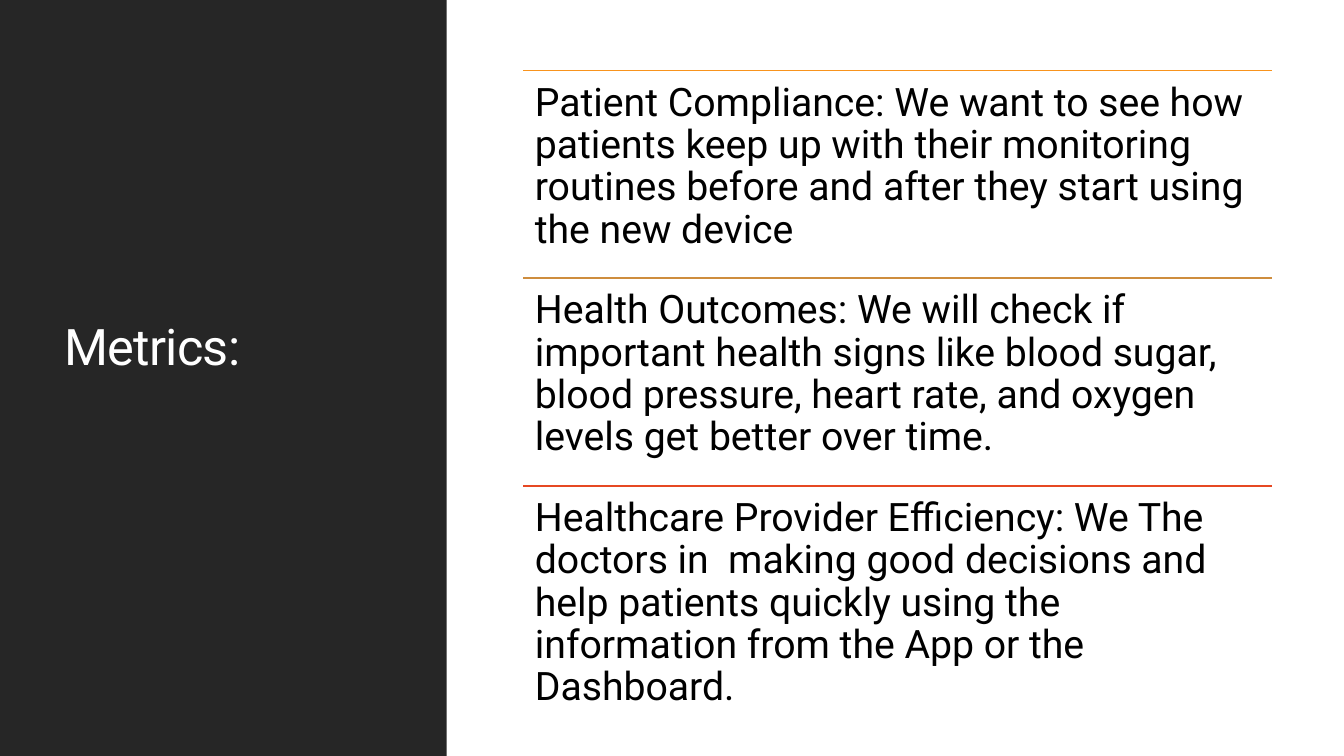
from lxml.etree import SubElement
from pptx import Presentation
from pptx.dml.color import RGBColor
from pptx.enum.shapes import MSO_CONNECTOR as Connector, MSO_SHAPE as Shape
from pptx.enum.text import MSO_ANCHOR as Anchor
from pptx.oxml.ns import qn
from pptx.util import Pt

TITLE = "Metrics:"
METRICS = [
    ("orange", "Patient Compliance: We want to see how patients keep up with their "
               "monitoring routines before and after they start using the new device"),
    ("ochre", "Health Outcomes: We will check if important health signs like blood sugar, "
              "blood pressure, heart rate, and oxygen levels get better over time."),
    ("red", "Healthcare Provider Efficiency: We The doctors in  making good decisions and "
            "help patients quickly using the information from the App or the Dashboard."),
]
COLORS = {"panel": "262626", "white": "FFFFFF", "black": "000000",
          "orange": "F8931D", "ochre": "CE8D3E", "red": "E64823"}
FONT = "Roboto"
SLIDE_WIDTH, SLIDE_HEIGHT = 960, 540
PANEL_WIDTH = 319
LIST_LEFT, LIST_TOP, LIST_WIDTH, ROW_HEIGHT = 373.7, 50.4, 535, 148.3


def color(name):
    return RGBColor.from_string(COLORS[name])


def add_text(slide, text, box, size, color_name, anchor, margins):
    frame = slide.shapes.add_textbox(*map(Pt, box)).text_frame
    frame.word_wrap = True
    frame.vertical_anchor = anchor
    (frame.margin_left, frame.margin_top,
     frame.margin_right, frame.margin_bottom) = map(Pt, margins)
    paragraph = frame.paragraphs[0]
    paragraph.line_spacing = 0.9
    run = paragraph.add_run()
    run.text = text
    run.font.name = FONT
    run.font.size = Pt(size)
    run.font.color.rgb = color(color_name)
    return run


def add_rule(slide, top, color_name):
    rule = slide.shapes.add_connector(
        Connector.STRAIGHT, Pt(LIST_LEFT), Pt(top), Pt(LIST_LEFT + LIST_WIDTH), Pt(top))
    rule.line.color.rgb = color(color_name)
    rule.line.width = Pt(1.25)
    SubElement(rule._element.spPr, qn("a:effectLst"))


def main():
    presentation = Presentation()
    presentation.slide_width = Pt(SLIDE_WIDTH)
    presentation.slide_height = Pt(SLIDE_HEIGHT)
    slide = presentation.slides.add_slide(presentation.slide_layouts[6])

    panel = slide.shapes.add_shape(Shape.RECTANGLE, 0, 0, Pt(PANEL_WIDTH), Pt(SLIDE_HEIGHT))
    panel.shadow.inherit = False
    panel.fill.solid()
    panel.fill.fore_color.rgb = color("panel")
    panel.line.fill.background()

    title = add_text(slide, TITLE, (38.9, 41, 242.6, 454.3), 36, "white",
                     Anchor.MIDDLE, (7.2, 3.6, 7.2, 41.6))
    title.font._element.set("spc", "-50")

    for index, (rule_color, text) in enumerate(METRICS):
        top = LIST_TOP + index * ROW_HEIGHT
        add_rule(slide, top, rule_color)
        add_text(slide, text, (LIST_LEFT, top, LIST_WIDTH, ROW_HEIGHT), 28, "black",
                 Anchor.TOP, (8.4,) * 4)

    presentation.save("out.pptx")


if __name__ == "__main__":
    main()
